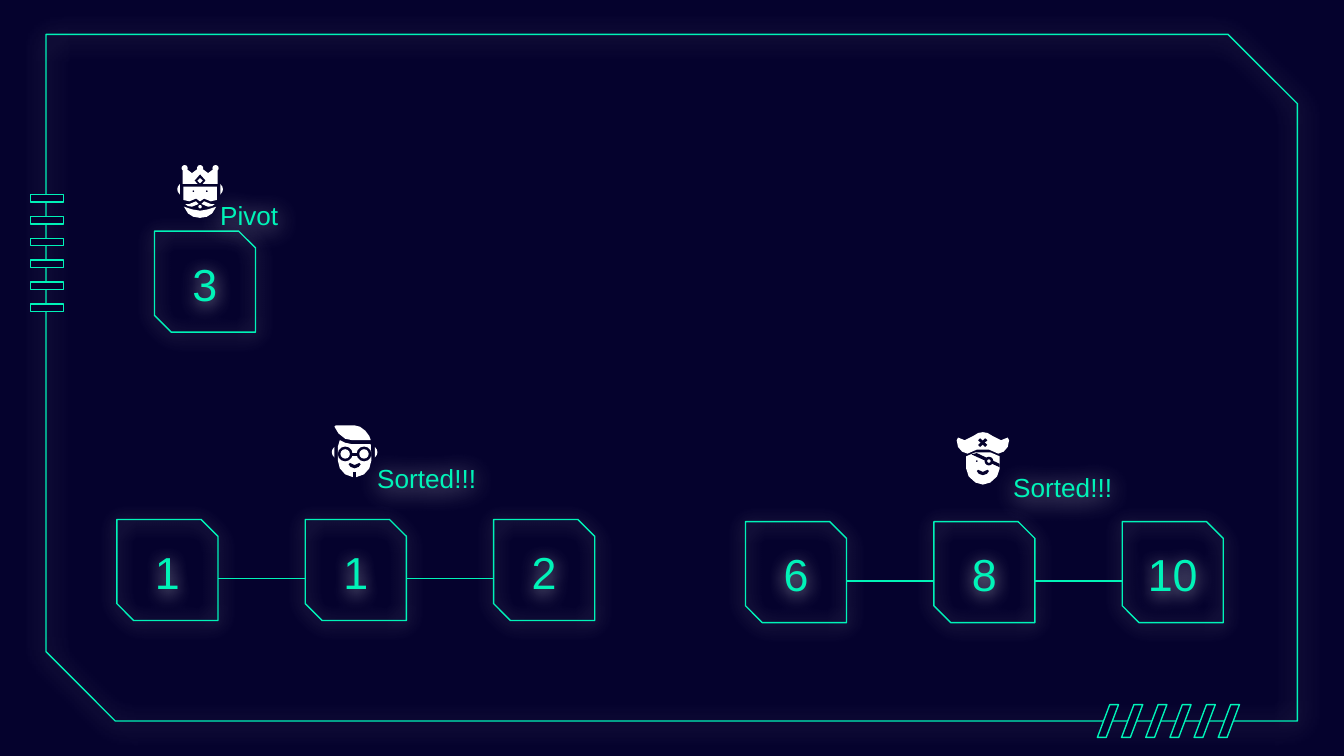
from lxml.etree import SubElement
from pptx import Presentation
from pptx.dml.color import RGBColor
from pptx.enum.shapes import MSO_CONNECTOR, MSO_SHAPE
from pptx.enum.text import MSO_ANCHOR, PP_ALIGN
from pptx.oxml.ns import qn
from pptx.util import Cm, Pt

NAVY, MINT, WHITE = "05022D", "00F3B8", "FFFFFF"
CARD = 1.91         # side of a number card, cm
CARD_PITCH = 3.56   # distance between neighbouring cards, cm
ICON_UNIT = 0.0254  # one step of the icon grid, cm


def color(value):
    return RGBColor.from_string(value)


def add_glow(shape, blur):
    effects = shape._element.spPr.find(qn("a:effectLst"))
    if effects is None:
        effects = SubElement(shape._element.spPr, qn("a:effectLst"))
    shadow = SubElement(effects, qn("a:outerShdw"), blurRad=str(Pt(blur)),
                        dist=str(Pt(1.5)), dir="5400000", algn="bl", rotWithShape="0")
    tint = SubElement(shadow, qn("a:srgbClr"), val=WHITE)
    SubElement(tint, qn("a:alpha"), val="70000")


def paint(shape, fill=None, line=None):
    shape.shadow.inherit = False
    if fill:
        shape.fill.solid()
        shape.fill.fore_color.rgb = color(fill)
    else:
        shape.fill.background()
    if line:
        shape.line.color.rgb = color(line)
        shape.line.width = Pt(0.75)
    else:
        shape.line.fill.background()


def add_outline(slide, kind, left, top, width, height, fill=None, adjustments=()):
    shape = slide.shapes.add_shape(kind, Cm(left), Cm(top), Cm(width), Cm(height))
    paint(shape, fill, MINT)
    for index, value in enumerate(adjustments):
        shape.adjustments[index] = value
    return shape


def write(shape, text, size, align):
    frame = shape.text_frame
    frame.word_wrap = True
    frame.vertical_anchor = MSO_ANCHOR.BOTTOM
    frame.margin_left = frame.margin_right = Cm(0.25)
    frame.margin_top = frame.margin_bottom = Cm(0.25)
    paragraph = frame.paragraphs[0]
    paragraph.alignment = align
    run = paragraph.add_run()
    run.text = text
    run.font.name = "Arial"
    run.font.size = Pt(size)
    run.font.color.rgb = color(MINT)


def add_frame(slide, left, top, width, height):
    border = add_outline(slide, MSO_SHAPE.SNIP_2_DIAG_RECTANGLE,
                         left, top, width, height, adjustments=(0, 0.101))
    add_glow(border, 13.5)
    # Bars on the left edge and slashes on the bottom edge
    for step in range(6):
        add_outline(slide, MSO_SHAPE.RECTANGLE, left - 0.29,
                    top + 3.03 + step * 0.413, 0.62, 0.14, NAVY)
        add_outline(slide, MSO_SHAPE.PARALLELOGRAM, left + 19.87 + step * 0.457,
                    top + height - 0.31, 0.4, 0.62, NAVY, (0.585,))


def add_card(slide, left, top, number):
    card = add_outline(slide, MSO_SHAPE.SNIP_2_DIAG_RECTANGLE,
                       left, top, CARD, CARD, adjustments=(0, 0.167))
    add_glow(card, 10.1)
    write(card, number, 24, PP_ALIGN.CENTER)


def add_chain(slide, left, top, numbers):
    for index, number in enumerate(numbers):
        card_left = left + index * CARD_PITCH
        add_card(slide, card_left, top, number)
        if index:
            link_y = Cm(top + 1.12)
            link = slide.shapes.add_connector(
                MSO_CONNECTOR.STRAIGHT, Cm(card_left), link_y,
                Cm(card_left - CARD_PITCH + CARD), link_y)
            link.line.color.rgb = color(MINT)
            link.line.width = Pt(0.75)
            SubElement(link._element.spPr, qn("a:effectLst"))


def add_label(slide, left, top, width, height, text):
    label = slide.shapes.add_textbox(Cm(left), Cm(top), Cm(width), Cm(height))
    write(label, text, 14, PP_ALIGN.LEFT)
    add_glow(label, 13.5)


def mirror(half, width):
    """Close a half outline with its mirror image."""
    return half + [(width - x, y) for x, y in reversed(half)]


def add_icon(slide, left, top, parts):
    """Draw (colour, outline) and (colour, centre x, centre y, diameter) parts."""
    def place(x, y):
        return Cm(left + x * ICON_UNIT), Cm(top + y * ICON_UNIT)

    for fill, *geometry in parts:
        if len(geometry) == 1:
            corners = [place(x, y) for x, y in geometry[0]]
            builder = slide.shapes.build_freeform(*corners[0])
            builder.add_line_segments(corners[1:], close=True)
            shape = builder.convert_to_shape()
        else:
            x, y, diameter = geometry
            side = Cm(diameter * ICON_UNIT)
            shape = slide.shapes.add_shape(
                MSO_SHAPE.OVAL, *place(x - diameter / 2, y - diameter / 2), side, side)
        paint(shape, fill)


def ears(top):
    left_ear = [(2, top), (0.5, top + 2), (0, top + 4), (0.5, top + 6), (2, top + 8)]
    return [(WHITE, left_ear), (WHITE, [(34 - x, y) for x, y in left_ear])]


def smile(center):
    half = [(0, 32), (-3, 31), (-4.5, 29), (-3.5, 28), (0, 29.6)]
    return (NAVY, [(center + x, y) for x, y in mirror(half, 0)])


KING = ears(14) + [
    (WHITE, mirror([(4, 14), (4, 4), (7, 3), (11, 6), (15, 3)], 34)),
    *[(WHITE, x, 2.3, 4.6) for x in (5.5, 17, 28.5)],
    (NAVY, [(17, 7), (21, 11.5), (17, 16), (13, 11.5)]),
    (WHITE, [(17, 9.7), (19, 11.7), (17, 13.6), (15, 11.7)]),
    (WHITE, mirror([(17, 27), (14, 25), (9, 27), (4.5, 26), (4.5, 16)], 34)),
    *[(NAVY, x, 19.5, 1.2) for x in (12, 22)],
    (WHITE, [(6, 29), (9, 29), (14, 27), (16, 29), (11, 31), (8, 30.5)]),
    (WHITE, [(28, 29), (25, 29), (20, 27), (18, 29), (23, 31), (26, 30.5)]),
    (WHITE, 17, 31, 2.5),
    (WHITE, mirror([(17, 34), (11, 33), (5, 31), (8, 36), (12, 38.5), (17, 39.3)], 34)),
]

SCHOLAR = ears(16) + [
    (WHITE, [(2, 1), (3, 0), (17, 0), (21, 1), (25, 4), (28, 8), (29, 11),
             (15, 11), (10, 10), (5, 6)]),
    (WHITE, [(6, 11), (10, 13), (15, 14), (29, 14), (29.5, 26), (28, 32), (24, 36.5),
             (17, 39), (10, 36.5), (6, 32), (4.5, 26), (4.5, 16)]),
    *[(tint, x, 21.3, size) for x in (10, 24) for tint, size in ((NAVY, 11), (WHITE, 7))],
    (NAVY, [(15, 20.3), (19, 20.3), (19, 22.5), (15, 22.5)]),
    smile(17),
    (NAVY, [(16, 35), (18, 35), (18, 39.3), (16, 39.3)]),
]

PIRATE = [
    (WHITE, mirror([(15, 13), (8, 16), (4, 14.5), (1, 11), (0, 6), (1, 4), (6, 6),
                    (12, 3), (16, 0.6), (19.5, 0)], 39)),
    (NAVY, [(16, 6), (17.5, 4.5), (22.8, 9.5), (21.3, 11)]),
    (NAVY, [(16, 9.5), (21.3, 4.5), (22.8, 6), (17.5, 11)]),
    (WHITE, mirror([(14, 15), (7, 18), (7, 27), (9, 33), (14, 37.5), (19.5, 39)], 39)),
    (NAVY, [(11, 16.5), (15, 15.5), (32, 23.5), (32, 26)]),
    (NAVY, 24, 21.5, 6.5),
    (WHITE, 24, 21.5, 2.5),
    (NAVY, 15, 21.5, 1.2),
    smile(19.5),
]


def main():
    deck = Presentation()
    deck.slide_width, deck.slide_height = Cm(25.4), Cm(14.29)
    slide = deck.slides.add_slide(deck.slide_layouts[6])
    slide.background.fill.solid()
    slide.background.fill.fore_color.rgb = color(NAVY)

    add_frame(slide, 0.87, 0.65, 23.65, 12.98)

    # Pivot
    add_card(slide, 2.92, 4.37, "3")
    add_icon(slide, 3.35, 3.12, KING)
    add_label(slide, 3.91, 3.68, 1.91, 0.94, "Pivot")

    # Sorted halves
    add_chain(slide, 2.21, 9.82, ("1", "1", "2"))
    add_icon(slide, 6.27, 8.04, SCHOLAR)
    add_label(slide, 6.88, 8.74, 2.54, 0.84, "Sorted!!!")
    add_chain(slide, 14.09, 9.86, ("6", "8", "10"))
    add_icon(slide, 18.08, 8.17, PIRATE)
    add_label(slide, 18.9, 8.92, 2.54, 0.84, "Sorted!!!")

    deck.save("out.pptx")


if __name__ == "__main__":
    main()
